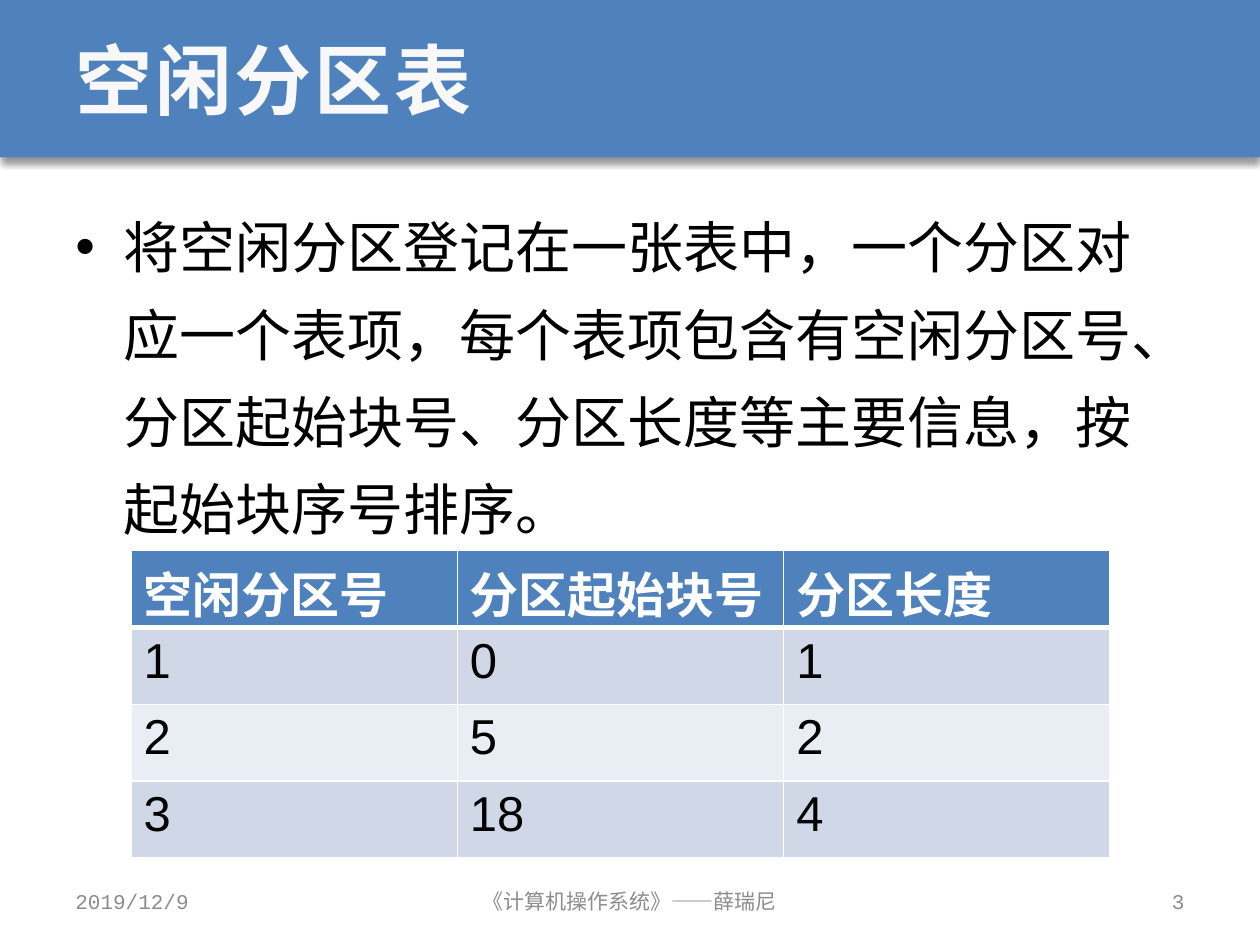
from lxml.etree import SubElement as Sub
from pptx import Presentation
from pptx.dml.color import RGBColor
from pptx.enum.shapes import MSO_SHAPE as Shape
from pptx.enum.text import MSO_ANCHOR as Anchor, PP_ALIGN as Align
from pptx.oxml.ns import qn
from pptx.util import Inches, Pt

BLUE, WHITE, BLACK, GREY = "4F81BD", "FFFFFF", "000000", "8C8C8C"
BANDS = ["D0D8E8", "E9EDF4"]
MONO, SANS = "Courier New", "Arial"


def color(value):
    return RGBColor.from_string(value)


def write(para, text, tone, **formats):
    span = para.add_run()
    span.text = text
    span.font.color.rgb = color(tone)
    for name, value in formats.items():
        setattr(span.font, name, value)
    return span


deck = Presentation()
deck.slide_width, deck.slide_height = Inches(10), Inches(7.5)
width, height = deck.slide_width, deck.slide_height
margin, band_height = width // 20, height // 6
content_width = width - 2 * margin
page = deck.slides.add_slide(deck.slide_layouts[5])

title = page.shapes.title
title_place = {"left": margin, "top": 0, "width": content_width, "height": band_height}
for name, value in title_place.items():
    setattr(title, name, value)
title.text_frame.vertical_anchor = Anchor.MIDDLE
para = title.text_frame.paragraphs[0]
para.alignment = Align.LEFT
span = write(para, "空闲分区表", "F8F8F8", name=MONO, size=Pt(44), bold=True)
span.font._element.set("spc", "150")

band = page.shapes.add_shape(Shape.RECTANGLE, 0, 0, width, band_height)
band.fill.solid()
band.fill.fore_color.rgb = color(BLUE)
band.line.fill.background()
band.shadow.inherit = False
effects = band.element.spPr.find(qn("a:effectLst"))
shadow = Sub(effects, qn("a:outerShdw"), blurRad=str(Pt(4)), dist=str(Pt(3)),
             dir="5400000", algn="t", rotWithShape="0")
shade = Sub(shadow, qn("a:srgbClr"), val=BLACK)
Sub(shade, qn("a:alpha"), val="40000")
title.element.addprevious(band.element)

body = page.shapes.add_textbox(margin, Inches(1.48), content_width, Inches(5.33))
body.text_frame.word_wrap = True
para = body.text_frame.paragraphs[0]
para.line_spacing = 1.3
bullet = para._p.get_or_add_pPr()
bullet.set("marL", str(Inches(0.38)))
bullet.set("indent", str(-Inches(0.38)))
Sub(bullet, qn("a:buFont"), typeface=SANS)
Sub(bullet, qn("a:buChar"), char="•")
write(para, "将空闲分区登记在一张表中，一个分区对应一个表项，每个表项包含有空闲分区号、"
      "分区起始块号、分区长度等主要信息，按起始块序号排序。", BLACK, name=MONO, size=Pt(32))

side, middle = Inches(2.33), Inches(3.17)
footers = [
    ("2019/12/9", margin, side, Align.LEFT),
    ("《计算机操作系统》——薛瑞尼", (width - middle) // 2, middle, Align.CENTER),
    ("3", width - margin - side, side, Align.RIGHT),
]
for text, left, box_width, alignment in footers:
    box = page.shapes.add_textbox(left, Inches(6.95), box_width, Inches(0.4))
    box.text_frame.word_wrap = True
    box.text_frame.vertical_anchor = Anchor.MIDDLE
    para = box.text_frame.paragraphs[0]
    para.alignment = alignment
    write(para, text, GREY, name=MONO, size=Pt(12))

rows = [
    ["空闲分区号", "分区起始块号", "分区长度"],
    ["1", "0", "1"],
    ["2", "5", "2"],
    ["3", "18", "4"],
]
column_width, row_height = Inches(2.59), Inches(0.61)
table = page.shapes.add_table(len(rows), len(rows[0]), Inches(1.04), Inches(4.37),
                              column_width * len(rows[0]), row_height * len(rows)).table
for r, row in enumerate(rows):
    header = r == 0
    for c, text in enumerate(row):
        cell = table.cell(r, c)
        properties = cell._tc.get_or_add_tcPr()
        for edge in ("lnL", "lnR", "lnT", "lnB"):
            thick = (header and edge == "lnB") or (r == 1 and edge == "lnT")
            line = Sub(properties, qn("a:" + edge), w=str(Pt(3 if thick else 1)))
            Sub(Sub(line, qn("a:solidFill")), qn("a:srgbClr"), val=WHITE)
        cell.fill.solid()
        cell.fill.fore_color.rgb = color(BLUE if header else BANDS[(r - 1) % 2])
        write(cell.text_frame.paragraphs[0], text, WHITE if header else BLACK,
              name=SANS, size=Pt(28), bold=header)

deck.save("out.pptx")
